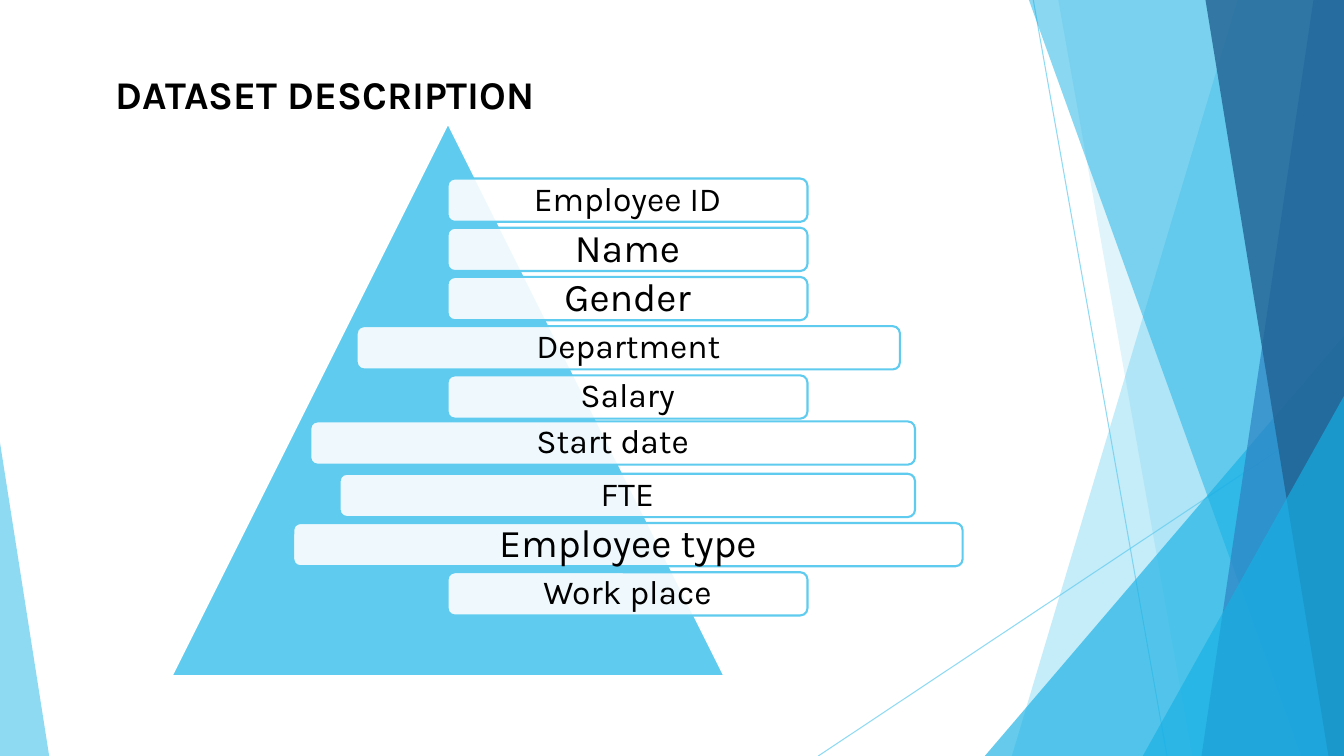
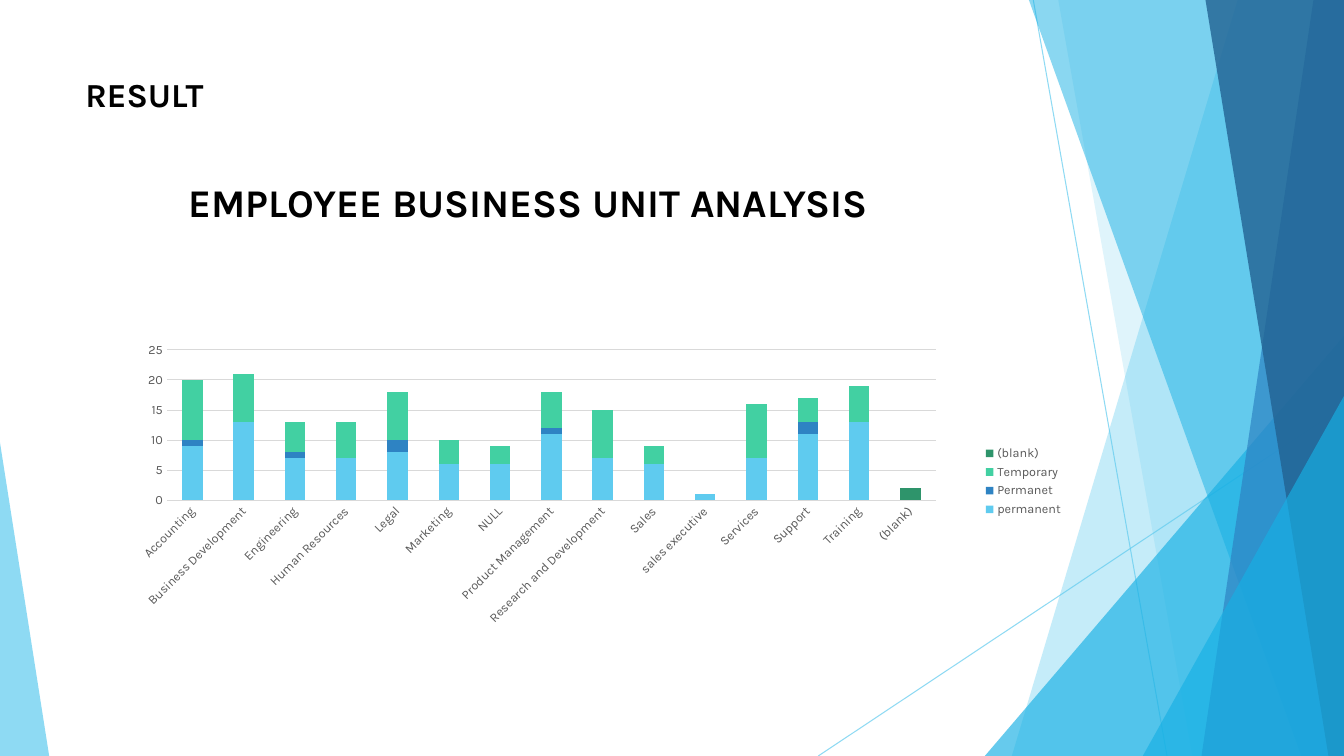
from lxml.etree import SubElement
from pptx import Presentation
from pptx.chart.data import CategoryChartData as Data
from pptx.dml.color import RGBColor as RGB
from pptx.enum.chart import XL_CHART_TYPE as Kind, XL_LEGEND_POSITION as Spot, XL_TICK_MARK as Tick
from pptx.enum.shapes import MSO_CONNECTOR as Link, MSO_SHAPE as Form
from pptx.enum.text import MSO_ANCHOR as Anchor, MSO_AUTO_SIZE as Fit, PP_ALIGN as Align
from pptx.oxml import parse_xml
from pptx.oxml.ns import nsdecls, qn
from pptx.util import Cm, Pt

SKY = RGB(0x5F, 0xCB, 0xEF)
AZURE = RGB(0x17, 0xB0, 0xE4)
BLUE = RGB(0x2E, 0x83, 0xC3)
NAVY = RGB(0x22, 0x62, 0x92)
MINT = RGB(0x42, 0xD0, 0xA2)
GREEN = RGB(0x2E, 0x94, 0x6B)
WHITE = RGB(0xFF, 0xFF, 0xFF)
BLACK = RGB(0, 0, 0)
GRAY = RGB(0x59, 0x59, 0x59)
PALE = RGB(0xD9, 0xD9, 0xD9)
FACE = "Karla"
WIDE, HIGH = 33.87, 19.05

RAYS = [((26.04, 0), (29.41, HIGH)), ((WIDE, 10.24), (20.62, HIGH))]
PANES = [
    (31.19, 25.5, SKY, 36),
    (26.67, 30.05, SKY, 20),
    (25.93, 32.79, AZURE, 50),
    (33.1, 30.28, BLUE, 70),
    (30.38, 33.48, NAVY, 80),
]
FIELDS = [
    ("Employee ID", 11.28, 9.07, 24, 0),
    ("Name", 11.28, 9.07, 28, 0),
    ("Gender", 11.28, 9.07, 28, 0),
    ("Department", 8.99, 13.69, 24, 0),
    ("Salary", 11.28, 9.07, 24, 0),
    ("Start date", 7.82, 15.24, 24, 0.08),
    ("FTE", 8.56, 14.5, 24, 0),
    ("Employee type", 7.39, 16.87, 28, 0),
    ("Work place", 11.28, 9.07, 24, 0),
]
UNITS = [
    "Accounting", "Business Development", "Engineering", "Human Resources",
    "Legal", "Marketing", "NULL", "Product Management",
    "Research and Development", "Sales", "sales executive", "Services",
    "Support", "Training", "(blank)",
]
SERIES = [
    ("permanent", SKY, [9, 13, 7, 7, 8, 6, 6, 11, 7, 6, 1, 7, 11, 13, None]),
    ("Permanet", BLUE, [1, None, 1, None, 2, None, None, 1] + [None] * 4 + [2, None, None]),
    ("Temporary", MINT, [10, 8, 5, 6, 8, 4, 3, 6, 8, 3, None, 9, 4, 6, None]),
    ("(blank)", GREEN, [None] * 14 + [2]),
]


class Deck:
    """Holds the shared style and the current slide."""

    def __init__(self):
        self.show = Presentation()
        self.show.slide_width, self.show.slide_height = Cm(WIDE), Cm(HIGH)
        self.slide = None

    def page(self):
        self.slide = self.show.slides.add_slide(self.show.slide_layouts[6])
        for start, end in RAYS:
            self.ray(start, end)
        for top, foot, color, alpha in PANES[:2]:
            self.pane(top, foot, color, alpha)
        self.corner(24.82, 8.46, AZURE, 66)
        for top, foot, color, alpha in PANES[2:]:
            self.pane(top, foot, color, alpha)
        self.corner(28.8, 9.98, AZURE, 66)
        self.wedge(0, 11.15, 1.24, HIGH - 11.15, SKY, 70, 0)

    def fade(self, shape, alpha):
        for color in shape._element.xpath("./p:spPr//a:srgbClr"):
            SubElement(color, qn("a:alpha")).set("val", str(alpha * 1000))

    def paint(self, shape, color, alpha=100, edge=None):
        shape.shadow.inherit = False
        shape.fill.solid()
        shape.fill.fore_color.rgb = color
        if alpha < 100:
            self.fade(shape, alpha)
        if edge is None:
            shape.line.fill.background()
        else:
            shape.line.color.rgb = edge
            shape.line.width = Pt(1.5)

    def font(self, font, size, color=BLACK, bold=False):
        font.name, font.size, font.bold = FACE, Pt(size), bold
        font.color.rgb = color

    def ray(self, start, end):
        ray = self.slide.shapes.add_connector(Link.STRAIGHT, *map(Cm, start + end))
        ray.line.color.rgb = SKY
        ray.line.width = Pt(0.75)
        self.fade(ray, 70)
        SubElement(ray._element.spPr, qn("a:effectLst"))

    def pane(self, top, foot, color, alpha):
        pen = self.slide.shapes.build_freeform(Cm(top), 0)
        spots = [(WIDE, 0), (WIDE, HIGH), (foot, HIGH)]
        pen.add_line_segments([(Cm(x), Cm(y)) for x, y in spots], close=True)
        self.paint(pen.convert_to_shape(), color, alpha)

    def wedge(self, x, y, w, h, color, alpha=100, peak=0.5, edge=None):
        wedge = self.slide.shapes.add_shape(Form.ISOSCELES_TRIANGLE, Cm(x), Cm(y), Cm(w), Cm(h))
        wedge.adjustments[0] = peak
        self.paint(wedge, color, alpha, edge)

    def corner(self, x, y, color, alpha):
        self.wedge(x, y, WIDE - x, HIGH - y, color, alpha, 1)

    def title(self, text, x, y, w, h, size=28):
        frame = self.slide.shapes.add_textbox(Cm(x), Cm(y), Cm(w), Cm(h)).text_frame
        frame.word_wrap = True
        frame.auto_size = Fit.SHAPE_TO_FIT_TEXT
        frame.text = text
        self.font(frame.paragraphs[0].runs[0].font, size, bold=True)

    def bar(self, text, x, y, w, size):
        bar = self.slide.shapes.add_shape(Form.ROUNDED_RECTANGLE, Cm(x), Cm(y), Cm(w), Cm(1.09))
        self.paint(bar, WHITE, 90, SKY)
        frame = bar.text_frame
        frame.margin_top = frame.margin_bottom = 0
        frame.vertical_anchor = Anchor.MIDDLE
        frame.text = text
        line = frame.paragraphs[0]
        line.alignment = Align.CENTER
        line.line_spacing = 0.9
        self.font(line.runs[0].font, size)

    def chart(self, cats, series, x, y, w, h):
        data = Data()
        data.categories = cats
        for name, _, vals in series:
            data.add_series(name, vals)
        chart = self.slide.shapes.add_chart(
            Kind.COLUMN_STACKED, Cm(x), Cm(y), Cm(w), Cm(h), data).chart
        self.font(chart.font, 10)
        chart.has_title = False
        chart.has_legend = True
        chart.legend.position = Spot.RIGHT
        chart.legend.include_in_layout = False
        self.font(chart.legend.font, 9, GRAY)
        plot = chart.plots[0]
        plot.gap_width, plot.overlap = 150, 100
        plot.vary_by_categories = False
        for item, (_, color, _) in zip(plot.series, series):
            item.format.fill.solid()
            item.format.fill.fore_color.rgb = color
        self.axes(chart)
        self.inner(chart, x=0.168, y=0.229, w=0.706, h=0.31)

    def axes(self, chart):
        base, scale = chart.category_axis, chart.value_axis
        for axis in (base, scale):
            axis.major_tick_mark = axis.minor_tick_mark = Tick.NONE
            self.font(axis.tick_labels.font, 9, GRAY)
        scale.minimum_scale, scale.maximum_scale, scale.major_unit = 0, 25, 5
        scale.has_major_gridlines = True
        scale.format.line.fill.background()
        for owner in (base, scale.major_gridlines):
            owner.format.line.color.rgb = PALE
            owner.format.line.width = Pt(0.75)
        body = chart._chartSpace.xpath(".//c:catAx/c:txPr/a:bodyPr")[0]
        body.set("rot", "-2700000")
        body.set("vert", "horz")

    def inner(self, chart, **box):
        area = chart._chartSpace.xpath(".//c:plotArea")[0]
        for old in area.findall(qn("c:layout")):
            area.remove(old)
        modes = "".join(f'<c:{key}Mode val="edge"/>' for key in "xy")
        sizes = "".join(f'<c:{key} val="{val}"/>' for key, val in box.items())
        area.insert(0, parse_xml(
            f'<c:layout {nsdecls("c")}><c:manualLayout><c:layoutTarget val="inner"/>'
            f"{modes}{sizes}</c:manualLayout></c:layout>"))


def main():
    deck = Deck()
    deck.page()
    deck.title("DATASET DESCRIPTION", 2.67, 1.65, 23.7, 1.45)
    deck.wedge(4.32, 3.1, 13.94, 13.94, SKY, edge=WHITE)
    for row, (text, left, width, size, lift) in enumerate(FIELDS):
        deck.bar(text, left, 4.5 + 1.24 * row - lift, width, size)

    deck.page()
    deck.chart(UNITS, SERIES, -0.41, 6.02, 27.46, 12.22)
    deck.title("RESULT", 1.9, 1.73, 14.05, 1.27, 24)
    deck.title("EMPLOYEE BUSINESS UNIT ANALYSIS", 4.5, 4.37, 17.96, 1.45)
    deck.show.save("out.pptx")


if __name__ == "__main__":
    main()
